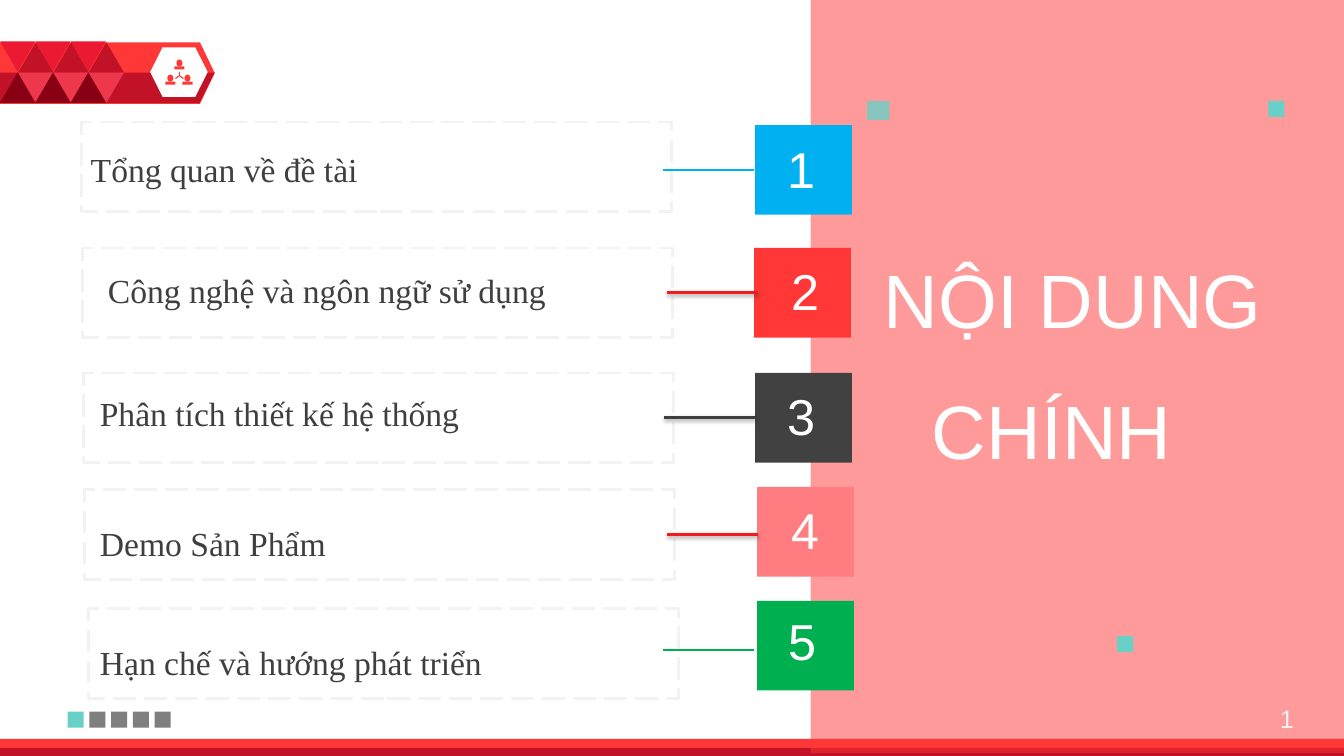
"""Build the agenda slide with five numbered topics beside a pink title panel."""
from dataclasses import dataclass

from lxml import etree
from pptx import Presentation
from pptx import util as u
from pptx.dml.color import RGBColor
from pptx.enum import dml, shapes, text
from pptx.oxml import ns

WHITE = RGBColor(0xFF, 0xFF, 0xFF)
PALE = RGBColor(0xF2, 0xF2, 0xF2)
GREY = RGBColor(0x7F, 0x7F, 0x7F)
INK = RGBColor(0x3F, 0x3F, 0x3F)
CHARCOAL = RGBColor(0x41, 0x41, 0x41)
RED = RGBColor(0xFF, 0x37, 0x37)
LINE_RED = RGBColor(0xF0, 0x1C, 0x20)
DARK_RED = RGBColor(0xC2, 0x12, 0x27)
CRIMSON = RGBColor(0xEB, 0x19, 0x32)
ROSE = RGBColor(0xED, 0x37, 0x4D)
MAROON = RGBColor(0x88, 0x00, 0x14)
PINK = RGBColor(0xFF, 0x7C, 0x80)
TEAL = RGBColor(0x68, 0xD0, 0xC6)
BLUE = RGBColor(0x00, 0xB0, 0xF0)
GREEN = RGBColor(0x00, 0xB0, 0x50)
PRESET = shapes.MSO_SHAPE


@dataclass(frozen=True)
class Topic:
    label: str
    label_left: float
    label_top: float
    frame: tuple[float, float]
    badge: tuple[float, float]
    number: tuple[float, float]
    line_start: tuple[float, float]
    color: RGBColor
    line_color: RGBColor
    shadowed: bool


TOPICS = [
    Topic("Tổng quan về đề tài", 0.8, 1.43, (0.81, 1.21), (7.49, 1.24),
          (7.6, 1.32), (6.58, 1.69), BLUE, BLUE, False),
    Topic("Công nghệ và ngôn ngữ sử dụng", 0.97, 2.61, (0.82, 2.46), (7.48, 2.46),
          (7.64, 2.53), (6.62, 2.9), RED, LINE_RED, True),
    Topic("Phân tích thiết kế hệ thống", 0.89, 3.81, (0.83, 3.7), (7.49, 3.7),
          (7.6, 3.77), (6.59, 4.14), CHARCOAL, INK, True),
    Topic("Demo Sản Phẩm", 0.89, 5.09, (0.84, 4.86), (7.51, 4.83),
          (7.64, 4.9), (6.62, 5.3), PINK, LINE_RED, True),
    Topic("Hạn chế và hướng phát triển", 0.89, 6.25, (0.88, 6.04), (7.51, 5.96),
          (7.61, 6.0), (6.58, 6.45), GREEN, GREEN, False),
]


def add_block(slide, preset, left: float, top: float, width: float, height: float,
              color: RGBColor, opacity: int = 100, rotation: int = 0):
    shape = slide.shapes.add_shape(preset, u.Inches(left), u.Inches(top),
                                   u.Inches(width), u.Inches(height))
    shape.shadow.inherit = False
    shape.fill.solid()
    shape.fill.fore_color.rgb = color
    shape.line.fill.background()
    shape.rotation = rotation
    if opacity < 100:
        rgb = shape.element.spPr.find(".//" + ns.qn("a:srgbClr"))
        etree.SubElement(rgb, ns.qn("a:alpha"), val=str(opacity * 1000))
    return shape


def add_frame(slide, left: float, top: float) -> None:
    shape = add_block(slide, PRESET.RECTANGLE, left, top, 5.85, 0.89, WHITE)
    shape.fill.background()
    shape.line.color.rgb = PALE
    shape.line.width = u.Pt(2)
    shape.line.dash_style = dml.MSO_LINE.LONG_DASH


def add_line(slide, start: tuple[float, float], end: tuple[float, float],
             color: RGBColor, weight: float, shadowed: bool = False) -> None:
    line = slide.shapes.add_connector(shapes.MSO_CONNECTOR.STRAIGHT,
                                      *map(u.Inches, start + end))
    line.line.color.rgb = color
    line.line.width = u.Pt(weight)
    effects = etree.SubElement(line.element.spPr, ns.qn("a:effectLst"))
    if shadowed:
        shadow = etree.SubElement(effects, ns.qn("a:outerShdw"), blurRad=str(u.Pt(3.1)),
                                  dist=str(u.Pt(1.8)), dir="5400000", rotWithShape="0")
        black = etree.SubElement(shadow, ns.qn("a:srgbClr"), val="000000")
        etree.SubElement(black, ns.qn("a:alpha"), val="35000")


def write(paragraph, words: str, *, size: float, color: RGBColor, font: str = "Arial",
          align=text.PP_ALIGN.LEFT, before: float = 0, indent: float = 0) -> None:
    """Fill a paragraph with formatted text."""
    properties = paragraph._p.get_or_add_pPr()
    properties.set("marL", str(u.Inches(indent)))
    properties.set("indent", "0")
    etree.SubElement(properties, ns.qn("a:buNone"))
    paragraph.alignment = align
    paragraph.line_spacing = 1.0
    paragraph.space_before = u.Pt(before)
    paragraph.space_after = u.Pt(0)
    run = paragraph.add_run()
    run.text = words
    run.font.size = u.Pt(size)
    run.font.name = font
    run.font.color.rgb = color


def add_label(slide, words: str, left: float, top: float, width: float, height: float,
              **style) -> None:
    box = slide.shapes.add_textbox(u.Inches(left), u.Inches(top),
                                   u.Inches(width), u.Inches(height))
    box.text_frame.word_wrap = True
    write(box.text_frame.paragraphs[0], words, **style)


def place(placeholder, left: float, top: float, width: float, height: float):
    placeholder.left, placeholder.top = u.Inches(left), u.Inches(top)
    placeholder.width, placeholder.height = u.Inches(width), u.Inches(height)
    frame = placeholder.text_frame
    frame.word_wrap = True
    frame.auto_size = text.MSO_AUTO_SIZE.NONE
    frame.vertical_anchor = text.MSO_ANCHOR.TOP
    placeholder.element.getparent().append(placeholder.element)
    return frame


def add_banner(slide) -> None:
    add_block(slide, PRESET.PENTAGON, 0, 0.42, 2.13, 0.61, RED).adjustments[0] = 0.24
    builder = slide.shapes.build_freeform(0, u.Inches(0.72))
    builder.add_line_segments([(u.Inches(x), u.Inches(y))
                               for x, y in ((2.13, 0.72), (1.98, 1.02), (0, 1.02))])
    shade = builder.convert_to_shape()
    shade.shadow.inherit = False
    shade.fill.solid()
    shade.fill.fore_color.rgb = DARK_RED
    shade.line.fill.background()
    add_block(slide, PRESET.HEXAGON, 1.49, 0.47, 0.57, 0.49, WHITE)
    for center, top in ((1.78, 0.59), (1.69, 0.74), (1.86, 0.74)):
        add_block(slide, PRESET.OVAL, center - 0.03, top, 0.06, 0.07, RED)
        add_block(slide, PRESET.ROUND_2_SAME_RECTANGLE, center - 0.05, top + 0.07,
                  0.1, 0.03, RED)
    for end in ((1.78, 0.71), (1.74, 0.78), (1.82, 0.78)):
        add_line(slide, (1.78, 0.75), end, RED, 0.75)
    for column in range(3):
        left = 0.35 * column
        for offset, top, color, rotation in ((0, 0.41, CRIMSON, 180), (0.18, 0.42, DARK_RED, 0),
                                             (0.18, 0.72, ROSE, 180), (0, 0.72, MAROON, 0)):
            add_block(slide, PRESET.ISOSCELES_TRIANGLE, left + offset, top, 0.35, 0.3,
                      color, rotation=rotation)


def add_topic(slide, number: int, topic: Topic) -> None:
    add_frame(slide, *topic.frame)
    add_block(slide, PRESET.RECTANGLE, *topic.badge, 0.96, 0.89, topic.color)
    add_label(slide, str(number), *topic.number, 0.7, 0.71, size=36, color=WHITE,
              align=text.PP_ALIGN.CENTER)
    left, top = topic.line_start
    add_line(slide, topic.line_start, (left + 0.9, top), topic.line_color,
             2.25 if topic.shadowed else 1.5, topic.shadowed)


def main() -> None:
    presentation = Presentation()
    presentation.slide_width, presentation.slide_height = u.Inches(13.33), u.Inches(7.5)
    slide = presentation.slides.add_slide(presentation.slide_layouts[1])
    add_banner(slide)
    add_block(slide, PRESET.RECTANGLE, 0, 7.33, 13.33, 0.16, RED)
    add_block(slide, PRESET.RECTANGLE, 0, 7.42, 13.33, 0.08, DARK_RED)
    add_block(slide, PRESET.RECTANGLE, 8.04, -0.03, 5.29, 7.5, RED, opacity=50)
    add_block(slide, PRESET.RECTANGLE, 8.6, 1, 0.22, 0.19, TEAL, opacity=80)
    for left, top in ((11.08, 6.31), (12.58, 1)):
        add_block(slide, PRESET.RECTANGLE, left, top, 0.16, 0.16, TEAL)
    for step in range(5):
        add_block(slide, PRESET.RECTANGLE, 0.67 + 0.216 * step, 7.06, 0.16, 0.16,
                  GREY if step else TEAL)
    for number, topic in enumerate(TOPICS, 1):
        add_topic(slide, number, topic)
    add_label(slide, "1", 12.34, 6.93, 0.59, 0.4, size=18, color=PALE,
              align=text.PP_ALIGN.RIGHT)

    title = place(slide.shapes.title, 8.03, 2.46, 4.8, 2.27)
    title_style = dict(size=54, color=WHITE, align=text.PP_ALIGN.CENTER)
    write(title.paragraphs[0], "NỘI DUNG", indent=0.42, **title_style)
    write(title.add_paragraph(), "CHÍNH", before=28.6, **title_style)

    body = place(slide.placeholders[1], 0.8, 1.43, 5.48, 5.32)
    previous_top = None
    for topic in TOPICS:
        first = previous_top is None
        gap = 0 if first else (topic.label_top - previous_top) * 72 - 27.6
        write(body.paragraphs[0] if first else body.add_paragraph(), topic.label, size=24,
              color=INK, font="Times New Roman", before=gap, indent=topic.label_left - 0.8)
        previous_top = topic.label_top
    presentation.save("out.pptx")


if __name__ == "__main__":
    main()
